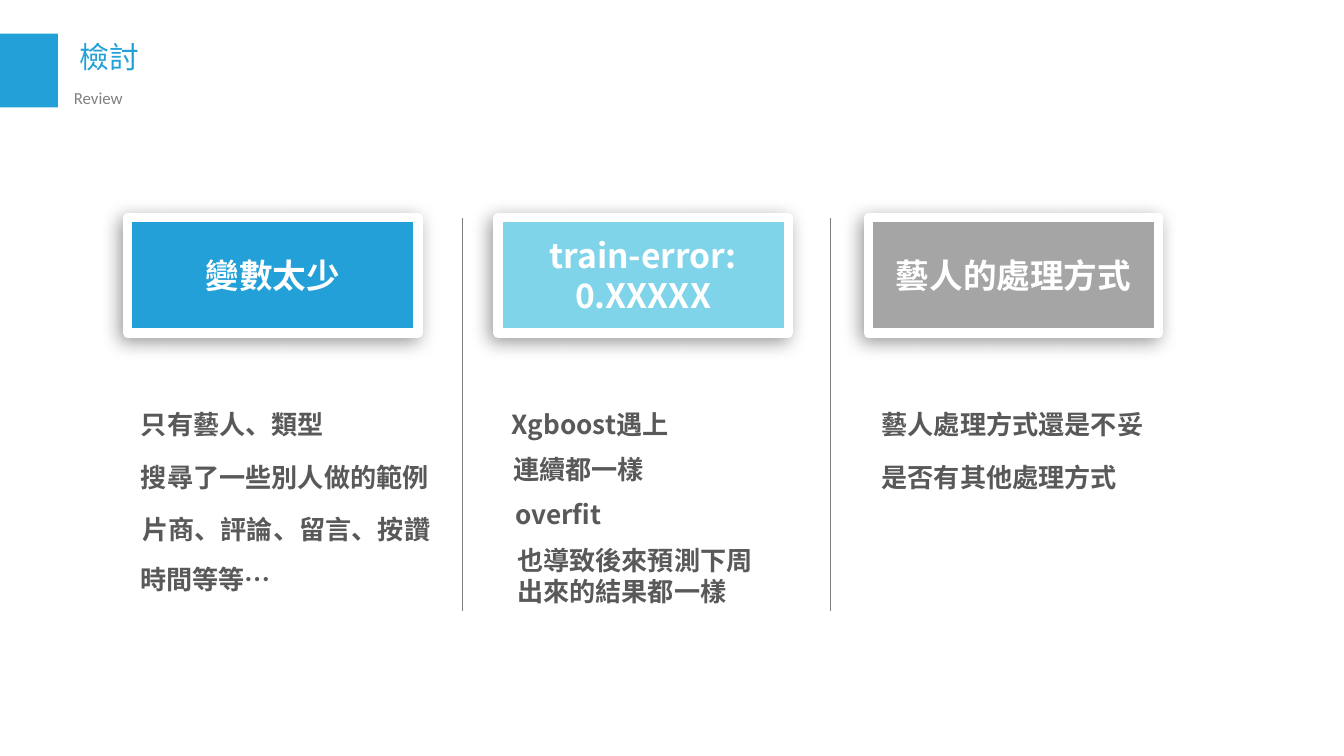
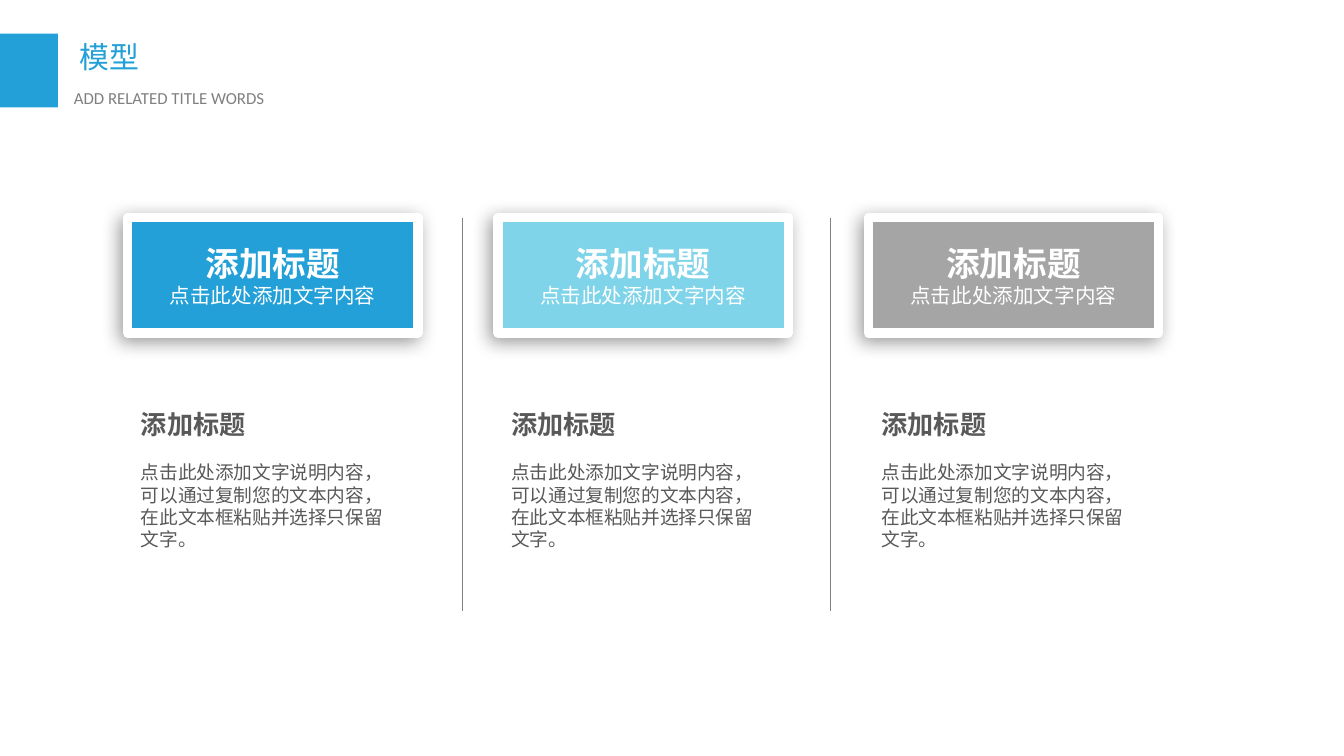
from dataclasses import dataclass

from lxml import etree
from pptx import Presentation
from pptx.dml.color import RGBColor
from pptx.enum.shapes import MSO_CONNECTOR, MSO_SHAPE
from pptx.enum.text import MSO_ANCHOR, MSO_AUTO_SIZE, PP_ALIGN
from pptx.oxml.ns import qn
from pptx.util import Pt

STRAIGHT = MSO_CONNECTOR.STRAIGHT
RECTANGLE = MSO_SHAPE.RECTANGLE
TOP, MIDDLE = MSO_ANCHOR.TOP, MSO_ANCHOR.MIDDLE
FIT_SHAPE = MSO_AUTO_SIZE.SHAPE_TO_FIT_TEXT
LEFT, CENTER, JUSTIFY = PP_ALIGN.LEFT, PP_ALIGN.CENTER, PP_ALIGN.JUSTIFY

# Shared look
BLUE = RGBColor(0x22, 0xA0, 0xD7)
SKY = RGBColor(0x7F, 0xD4, 0xE9)
SILVER = RGBColor(0xA5, 0xA5, 0xA5)
GRAY = RGBColor(0x80, 0x80, 0x80)
DARK = RGBColor(0x59, 0x59, 0x59)
WHITE = RGBColor(0xFF, 0xFF, 0xFF)
CHINESE_FONT = "Noto Sans CJK SC"
LATIN_FONT = "Calibri"
TITLE_ONLY = 5

# Column grid, in points
COLUMN_LEFT, COLUMN_STEP = 68.4, 198.4
CARD_TOP, CARD_WIDTH, CARD_HEIGHT = 116.6, 155.5, 61.9
CARD_COLORS = (BLUE, SKY, SILVER)
DIVIDER_LEFT, DIVIDER_STEP, DIVIDER_BOTTOM = 247.7, 197.3, 327.6
NOTE_TOP, BODY_TOP = 215.3, 243.4
NOTE_WIDTH, WIDE_NOTE, NOTE_HEIGHT = 144.7, 170, 24.5


@dataclass(frozen=True)
class TextStyle:
    size: float
    color: RGBColor
    bold: bool = False
    font: str = CHINESE_FONT
    align: PP_ALIGN = LEFT


@dataclass(frozen=True)
class Note:
    """A text box; its left edge is the column's plus shift."""
    text: str
    column: int
    top: float
    width: float = NOTE_WIDTH
    height: float = NOTE_HEIGHT
    shift: float = 0
    wrap: bool = True


TITLE = TextStyle(16, BLUE, align=JUSTIFY)
SUBTITLE = TextStyle(9, GRAY, font=LATIN_FONT, align=JUSTIFY)
CARD_HEAD = TextStyle(18, WHITE, bold=True, align=CENTER)
CARD_TAGLINE = TextStyle(11, WHITE, align=CENTER)
NOTE = TextStyle(14, DARK, bold=True)
BODY = TextStyle(10, DARK)

# Slide content
REVIEW_HEADS = ("變數太少", "train-error: 0.XXXXX", "藝人的處理方式")
REVIEW_NOTES = (
    Note("只有藝人、類型", 0, NOTE_TOP),
    Note("搜尋了一些別人做的範例", 0, BODY_TOP, WIDE_NOTE),
    Note("片商、評論、留言、按讚", 0, 271.4, WIDE_NOTE, shift=0.7),
    Note("時間等等…", 0, 298.1, WIDE_NOTE, shift=-0.4),
    Note("Xgboost遇上", 1, NOTE_TOP),
    Note("連續都一樣", 1, 239.6, shift=1),
    Note("overfit", 1, 263.6, shift=2.1),
    Note("也導致後來預測下周出來的結果都一樣", 1, 288, height=41, shift=3.1),
    Note("藝人處理方式還是不妥", 2, NOTE_TOP, 156.2, wrap=False),
    Note("是否有其他處理方式", 2, BODY_TOP, 141.8, wrap=False),
)
MODEL_HEAD = "添加标题"
MODEL_TAGLINE = "点击此处添加文字内容"
MODEL_BODY = "点击此处添加文字说明内容，可以通过复制您的文本内容，在此文本框粘贴并选择只保留文字。"


def column_left(column: int) -> float:
    return COLUMN_LEFT + column * COLUMN_STEP


def write_paragraph(para, text: str, style: TextStyle) -> None:
    para.text = text
    para.alignment = style.align
    font = para.font
    font.size, font.bold, font.name = Pt(style.size), style.bold, style.font
    font.color.rgb = style.color
    # East Asian text takes its typeface from its own element
    properties = para._p.pPr.find(qn("a:defRPr"))
    etree.SubElement(properties, qn("a:ea"), typeface=style.font)


def set_insets(frame, side: float, edge: float) -> None:
    frame.margin_left = frame.margin_right = Pt(side)
    frame.margin_top = frame.margin_bottom = Pt(edge)


def add_text(page, left: float, top: float, width: float, height: float,
             text: str, style: TextStyle, wrap: bool = True):
    box = page.shapes.add_textbox(Pt(left), Pt(top), Pt(width), Pt(height))
    frame = box.text_frame
    frame.word_wrap = wrap
    frame.auto_size = FIT_SHAPE
    write_paragraph(frame.paragraphs[0], text, style)
    return box


def add_note(page, note: Note, style: TextStyle = NOTE) -> None:
    add_text(page, column_left(note.column) + note.shift, note.top,
             note.width, note.height, note.text, style, note.wrap)


def add_rectangle(page, left: float, top: float, width: float, height: float,
                  color: RGBColor):
    shape = page.shapes.add_shape(RECTANGLE, Pt(left), Pt(top), Pt(width), Pt(height))
    shape.shadow.inherit = False
    shape.fill.solid()
    shape.fill.fore_color.rgb = color
    shape.line.fill.background()
    return shape


def add_card(page, column: int, head: str, tagline: str = "") -> None:
    card = add_rectangle(page, column_left(column), CARD_TOP, CARD_WIDTH,
                         CARD_HEIGHT, CARD_COLORS[column])
    card.line.color.rgb = WHITE
    card.line.width = Pt(5)

    # Soft shadow towards the lower left
    effects = card._element.spPr.find(qn("a:effectLst"))
    shadow = etree.SubElement(effects, qn("a:outerShdw"), blurRad=str(Pt(10)),
                              dist=str(Pt(3)), dir=str(135 * 60000),
                              algn="tr", rotWithShape="0")
    black = etree.SubElement(shadow, qn("a:srgbClr"), val="000000")
    etree.SubElement(black, qn("a:alpha"), val="40000")

    frame = card.text_frame
    frame.word_wrap = True
    frame.vertical_anchor = MIDDLE
    set_insets(frame, 5.4, 2.7)
    write_paragraph(frame.paragraphs[0], head, CARD_HEAD)
    if tagline:
        write_paragraph(frame.add_paragraph(), tagline, CARD_TAGLINE)


def add_divider(page, index: int) -> None:
    left = Pt(DIVIDER_LEFT + index * DIVIDER_STEP)
    line = page.shapes.add_connector(STRAIGHT, left, Pt(CARD_TOP),
                                     left, Pt(DIVIDER_BOTTOM))
    line.line.color.rgb = GRAY
    line.line.width = Pt(0.25)
    etree.SubElement(line._element.spPr, qn("a:effectLst"))


def add_page(deck, title: str, subtitle: str):
    """Add a slide with the heading band and the column dividers."""
    page = deck.slides.add_slide(deck.slide_layouts[TITLE_ONLY])
    for index in range(2):
        add_divider(page, index)
    add_rectangle(page, 0, 18, 31, 39.6, BLUE)

    heading = page.shapes.title
    heading.left, heading.top = Pt(36.7), Pt(18)
    heading.width, heading.height = Pt(144.7), Pt(25.2)
    frame = heading.text_frame
    frame.word_wrap = True
    frame.auto_size = FIT_SHAPE
    frame.vertical_anchor = TOP
    set_insets(frame, 5.8, 2.9)
    write_paragraph(frame.paragraphs[0], title, TITLE)

    caption = add_text(page, 33.8, 43.9, 160.6, 16.6, subtitle, SUBTITLE)
    set_insets(caption.text_frame, 5.8, 2.9)
    return page


def build_review(deck) -> None:
    page = add_page(deck, "檢討", "Review")
    for column, head in enumerate(REVIEW_HEADS):
        add_card(page, column, head)
    for note in REVIEW_NOTES:
        add_note(page, note)


def build_model(deck) -> None:
    page = add_page(deck, "模型", "ADD RELATED TITLE WORDS")
    for column in range(len(CARD_COLORS)):
        add_card(page, column, MODEL_HEAD, MODEL_TAGLINE)
        add_note(page, Note(MODEL_HEAD, column, NOTE_TOP, 71.3, wrap=False))
        add_note(page, Note(MODEL_BODY, column, BODY_TOP, height=55.4), BODY)


def main() -> None:
    deck = Presentation()
    deck.slide_width, deck.slide_height = Pt(720), Pt(405)
    build_review(deck)
    build_model(deck)
    deck.save("out.pptx")


if __name__ == "__main__":
    main()
